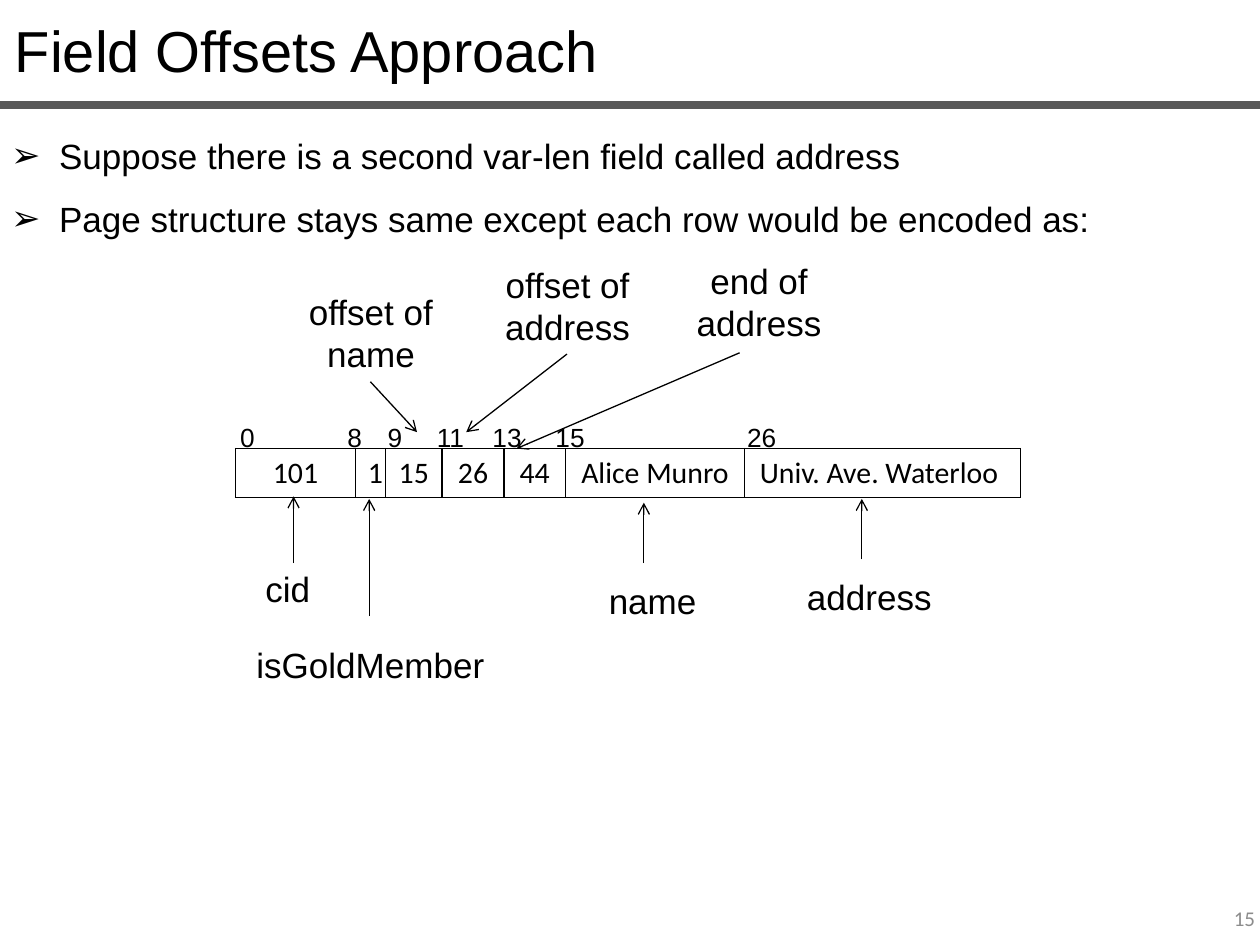
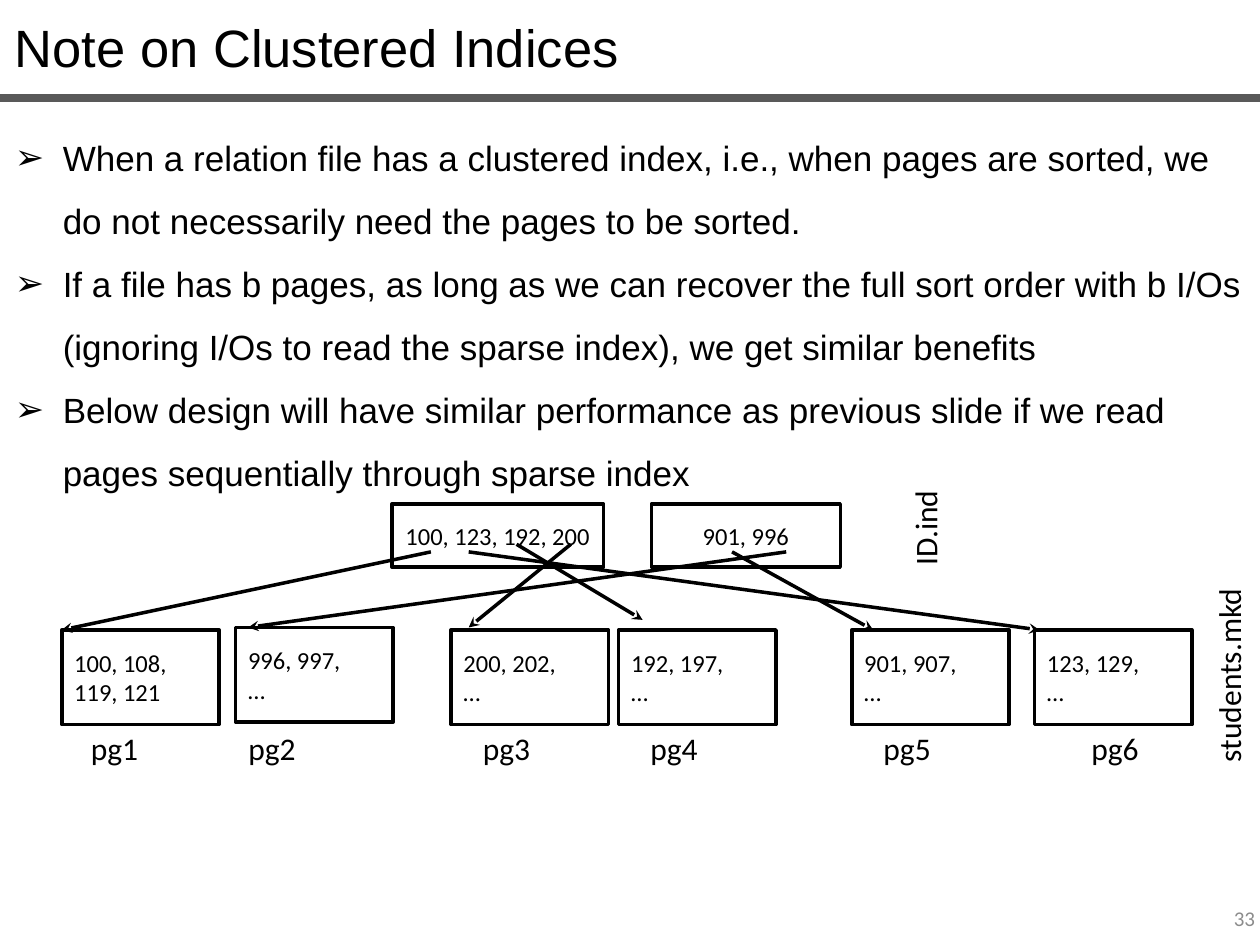
from lxml import etree
from pptx import Presentation
from pptx.dml.color import RGBColor
from pptx.enum.shapes import MSO_CONNECTOR, MSO_SHAPE
from pptx.enum.text import MSO_ANCHOR as Anchor, MSO_AUTO_SIZE as AutoSize, PP_ALIGN as Align
from pptx.oxml.ns import qn
from pptx.util import Inches, Pt

COLORS = {"ink": "000000", "rule": "595959", "number": "8C8C8C", "paper": "FFFFFF"}
SANS, BODY = "Arial", "Calibri"

# Slide 1: a record with offsets to its variable-length fields
OFFSET_BULLETS = [
    "Suppose there is a second var-len field called address",
    "Page structure stays same except each row would be encoded as:",
]
RECORD = [  # value, column width, byte position, left of the position label
    ("101", 0.95, "0", 1.75),
    ("1", 0.23, "8", 2.6),
    ("15", 0.45, "9", 2.92),
    ("26", 0.49, "11", 3.36),
    ("44", 0.49, "13", 3.81),
    ("Alice Munro", 1.42, "15", 4.31),
    ("Univ. Ave. Waterloo ", 2.19, "26", 5.83),
]
RECORD_LEFT, RECORD_TOP, RECORD_HEIGHT = 1.87, 3.56, 0.39
OFFSET_LABELS = [  # text, left, top, arrow start, arrow end
    ("offset of name", 2.03, 2.26, (2.94, 3.03), (3.31, 3.43)),
    ("offset of address", 3.59, 2.04, (4.5, 2.81), (3.7, 3.43)),
    ("end of address", 5.11, 2.01, (5.87, 2.8), (4.1, 3.56)),
]
FIELD_LABELS = [  # text, left, top, width, arrow x, arrow start y, arrow end y
    ("cid", 1.82, 4.29, 0.93, 2.33, 4.47, 3.94),
    ("isGoldMember", 1.85, 4.89, 2.18, 2.93, 4.89, 3.96),
    ("name", 4.63, 4.38, 1.1, 5.11, 4.47, 3.99),
    ("address", 6.13, 4.35, 1.54, 6.84, 4.44, 3.96),
]

# Slide 2: a sparse index over unsorted pages
INDEX_BULLETS = [
    "When a relation file has a clustered index, i.e., when pages are sorted, "
    "we do not necessarily need the pages to be sorted.",
    "If a file has b pages, as long as we can recover the full sort order with b I/Os "
    "(ignoring I/Os to read the sparse index), we get similar benefits",
    "Below design will have similar performance as previous slide if we read "
    "pages sequentially through sparse index",
]
INDEX_NODES = [("100, 123, 192, 200", 3.11, 1.68), ("901, 996", 5.17, 1.5)]
PAGES = [  # name, keys, box left, box top, label left
    ("pg1", ("100, 108,", "119, 121"), 0.49, 5, 0.46),
    ("pg2", ("996, 997,", "…"), 1.87, 4.98, 1.71),
    ("pg3", ("200, 202,", "…"), 3.58, 5, 3.57),
    ("pg4", ("192, 197,", "…"), 4.91, 5, 4.9),
    ("pg5", ("901, 907,", "…"), 6.76, 5, 6.75),
    ("pg6", ("123, 129,", "…"), 8.21, 5, 8.4),
]
POINTERS = [
    ((3.42, 4.38), (0.49, 5)),
    ((3.72, 4.38), (8.25, 5)),
    ((4.53, 4.32), (3.72, 4.98)),
    ((6.24, 4.38), (1.97, 4.98)),
    ((5.81, 4.38), (6.93, 5)),
    ((4.1, 4.32), (5.1, 4.92)),
]
FILE_LABELS = [("students.mkd", 8.89, 5.16, 1.72), ("ID.ind", 6.76, 3.99, 1.16)]


def rgb(name):
    return RGBColor.from_string(COLORS[name])


def add_run(paragraph, text, size, font, color="ink"):
    run = paragraph.add_run()
    run.text = text
    run.font.size, run.font.name = Pt(size), font
    run.font.color.rgb = rgb(color)


def add_text(slide, text, left, top, width, height, size, font=SANS, align=Align.CENTER,
             color="ink", spacing=None):
    shape = slide.shapes.add_textbox(*map(Inches, (left, top, width, height)))
    frame = shape.text_frame
    frame.word_wrap = True
    frame.auto_size = AutoSize.SHAPE_TO_FIT_TEXT
    paragraph = frame.paragraphs[0]
    paragraph.alignment = align
    if spacing:
        paragraph.line_spacing = spacing
    add_run(paragraph, text, size, font, color)
    return shape


def add_bullets(slide, items, left, top, width, height):
    shape = slide.shapes.add_textbox(*map(Inches, (left, top, width, height)))
    frame = shape.text_frame
    frame.word_wrap = True
    for index, item in enumerate(items):
        paragraph = frame.add_paragraph() if index else frame.paragraphs[0]
        paragraph.line_spacing = 1.5
        properties = paragraph._p.get_or_add_pPr()
        properties.set("marL", str(Inches(0.38)))
        properties.set("indent", str(-Inches(0.38)))
        etree.SubElement(properties, qn("a:buFont"), typeface=SANS)
        etree.SubElement(properties, qn("a:buChar"), char="➢")
        add_run(paragraph, item, 20, SANS)


def add_line(slide, start, end, width, color="ink", arrow=None):
    line = slide.shapes.add_connector(MSO_CONNECTOR.STRAIGHT, *map(Inches, (*start, *end)))
    line.line.width = Pt(width)
    line.line.color.rgb = rgb(color)
    if arrow:
        etree.SubElement(line.line._get_or_add_ln(), qn("a:tailEnd"), type=arrow)
    etree.SubElement(line._element.spPr, qn("a:effectLst"))


def add_box(slide, lines, left, top, width, height, align):
    shape = slide.shapes.add_shape(MSO_SHAPE.RECTANGLE, *map(Inches, (left, top, width, height)))
    shape.shadow.inherit = False
    shape.fill.background()
    shape.line.color.rgb = rgb("ink")
    shape.line.width = Pt(2)
    frame = shape.text_frame
    frame.word_wrap = False
    frame.vertical_anchor = Anchor.MIDDLE
    paragraph = frame.paragraphs[0]
    paragraph.alignment = align
    for index, text in enumerate(lines):
        if index:
            paragraph.add_line_break()
        add_run(paragraph, text, 14, BODY)


def add_record(slide):
    widths = [field[1] for field in RECORD]
    table = slide.shapes.add_table(1, len(RECORD), *map(Inches, (
        RECORD_LEFT, RECORD_TOP, sum(widths), RECORD_HEIGHT))).table
    table.first_row = table.horz_banding = False
    for index, (value, width, *_) in enumerate(RECORD):
        table.columns[index].width = Inches(width)
        cell = table.cell(0, index)
        paragraph = cell.text_frame.paragraphs[0]
        paragraph.alignment = Align.CENTER
        add_run(paragraph, value, 17, BODY)
        # Borders precede the fill in the cell properties
        properties = cell._tc.get_or_add_tcPr()
        for side in ("lnL", "lnR", "lnT", "lnB"):
            border = etree.SubElement(properties, qn("a:" + side), w=str(Pt(1)))
            fill = etree.SubElement(border, qn("a:solidFill"))
            etree.SubElement(fill, qn("a:srgbClr"), val=COLORS["ink"])
        cell.fill.background()


def add_base(presentation, title, title_size, title_height, rule_y, number):
    slide = presentation.slides.add_slide(presentation.slide_layouts[6])
    slide.background.fill.solid()
    slide.background.fill.fore_color.rgb = rgb("paper")
    add_text(slide, title, 0.02, 0.07, 10, title_height, title_size, align=Align.LEFT)
    add_line(slide, (0, rule_y), (10, rule_y), 4.5, "rule")
    footer = add_text(slide, number, 7.73, 7.09, 2.33, 0.4, 12, BODY, Align.RIGHT, "number")
    footer.text_frame.auto_size = AutoSize.NONE
    footer.text_frame.vertical_anchor = Anchor.MIDDLE
    return slide


def build_offsets(presentation):
    slide = add_base(presentation, "Field Offsets Approach", 33, 0.66, 0.83, "15")
    add_record(slide)
    add_bullets(slide, OFFSET_BULLETS, -0.01, 0.85, 9.98, 1.05)
    for text, left, top, width, x, start_y, end_y in FIELD_LABELS:
        add_line(slide, (x, start_y), (x, end_y), 0.75, arrow="arrow")
        add_text(slide, text, left, top, width, 0.54, 20, spacing=1.5)
    for text, left, top, start, end in OFFSET_LABELS:
        add_line(slide, start, end, 0.75, arrow="arrow")
        add_text(slide, text, left, top, 1.83, 0.77, 20)
    for _, _, position, left in RECORD:
        add_text(slide, position, left, 3.17, 0.43, 0.43, 15, spacing=1.5)


def build_index(presentation):
    slide = add_base(presentation, "Note on Clustered Indices", 30, 0.61, 0.78, "33")
    add_bullets(slide, INDEX_BULLETS, 0.02, 0.87, 10, 3.07)
    for keys, left, width in INDEX_NODES:
        add_box(slide, [keys], left, 4, width, 0.5, Align.CENTER)
    for start, end in POINTERS:
        add_line(slide, start, end, 2, arrow="stealth")
    for name, keys, left, top, label_left in PAGES:
        add_box(slide, keys, left, top, 1.25, 0.75, Align.LEFT)
        add_text(slide, name, label_left, 5.74, 0.9, 0.4, 18, BODY)
    for text, left, top, width in FILE_LABELS:
        add_text(slide, text, left, top, width, 0.4, 18, BODY).rotation = 270


def main():
    presentation = Presentation()
    presentation.slide_width, presentation.slide_height = Inches(10), Inches(7.5)
    build_offsets(presentation)
    build_index(presentation)
    presentation.save("out.pptx")


if __name__ == "__main__":
    main()
